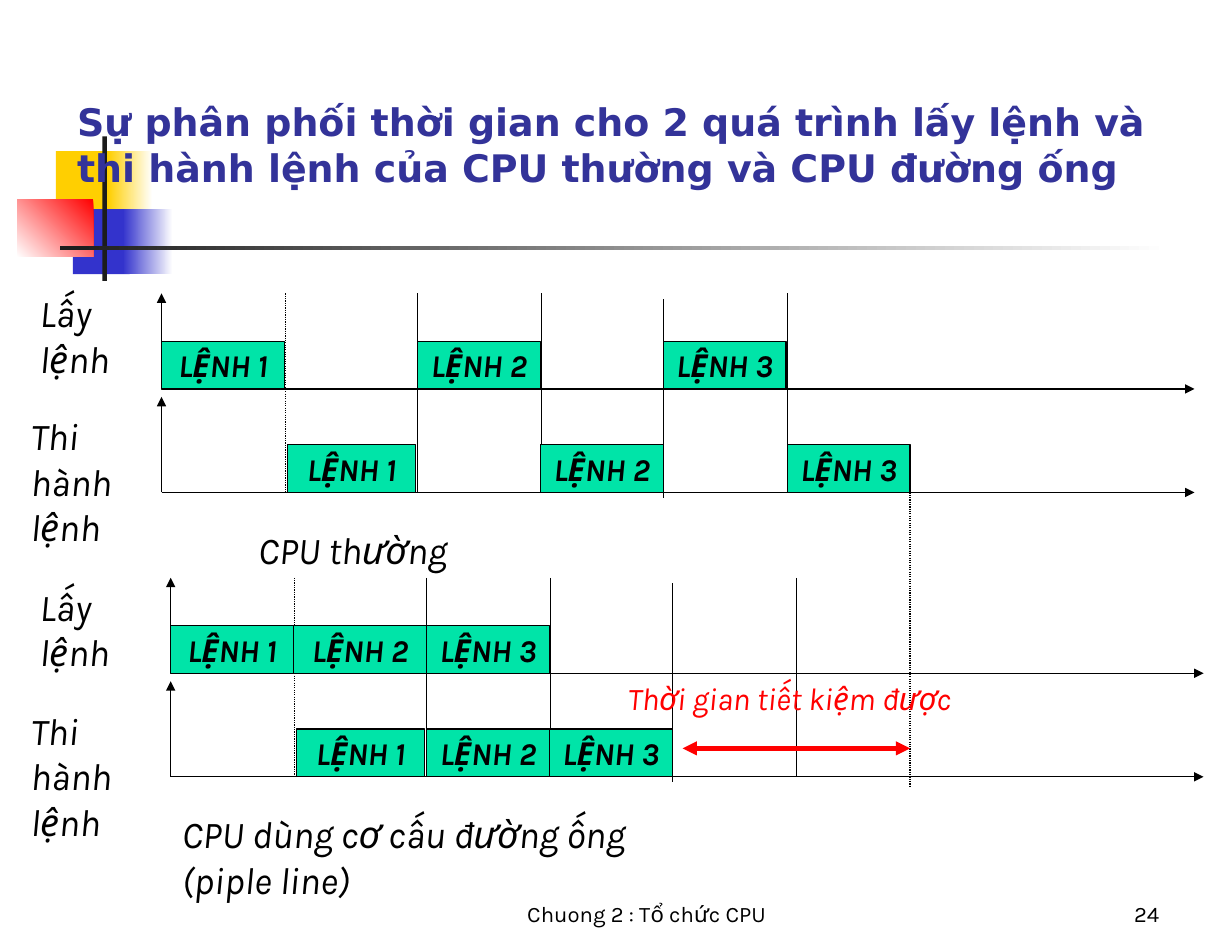
from lxml.etree import SubElement
from pptx import Presentation
from pptx.dml.color import RGBColor
from pptx.enum.dml import MSO_LINE
from pptx.enum.shapes import MSO_CONNECTOR, MSO_SHAPE
from pptx.enum.text import MSO_ANCHOR, PP_ALIGN
from pptx.oxml.ns import qn
from pptx.util import Inches, Pt

BLACK = RGBColor(0x00, 0x00, 0x00)
WHITE = RGBColor(0xFF, 0xFF, 0xFF)
CHARCOAL = RGBColor(0x1C, 0x1C, 0x1C)
YELLOW = RGBColor(0xFF, 0xCF, 0x01)
BLUE = RGBColor(0x33, 0x33, 0xCC)
TITLE_BLUE = RGBColor(0x33, 0x33, 0x99)
RED = RGBColor(0xFF, 0x00, 0x00)
GREEN = RGBColor(0x00, 0xE4, 0xA8)


def write(shape, text, size, color=BLACK, font="Karla", bold=False, italic=True,
          align=PP_ALIGN.LEFT, anchor=MSO_ANCHOR.TOP, wrap=True):
    frame = shape.text_frame
    frame.word_wrap = wrap
    frame.vertical_anchor = anchor
    paragraph = frame.paragraphs[0]
    paragraph.text = text
    paragraph.alignment = align
    paragraph.font.name = font
    paragraph.font.size = Pt(size)
    paragraph.font.bold = bold
    paragraph.font.italic = italic
    paragraph.font.color.rgb = color


def draw_line(x1, y1, x2, y2, color=BLACK, width=0.75, dotted=False, arrows=()):
    line = slide.shapes.add_connector(
        MSO_CONNECTOR.STRAIGHT, Inches(x1), Inches(y1), Inches(x2), Inches(y2))
    line.line.color.rgb = color
    line.line.width = Pt(width)
    if dotted:
        line.line.dash_style = MSO_LINE.ROUND_DOT
    outline = line.line._get_or_add_ln()
    for end in arrows:
        SubElement(outline, qn(f"a:{end}"), type="triangle")
    SubElement(line._element.spPr, qn("a:effectLst"))


presentation = Presentation()
presentation.slide_width = Inches(10.83)
presentation.slide_height = Inches(8.3)
slide = presentation.slides.add_slide(presentation.slide_layouts[6])

# Corner decoration: one colour is solid, two colours make a gradient
for left, top, width, height, colors, angle in [
    (0.49, 1.33, 0.52, 0.57, [YELLOW], 0),
    (0.95, 1.33, 0.39, 0.57, [WHITE, YELLOW], 180),
    (0.64, 1.84, 0.5, 0.57, [BLUE], 0),
    (1.08, 1.84, 0.44, 0.57, [WHITE, BLUE], 180),
    (0.15, 1.75, 0.67, 0.51, [RED, WHITE], 225),
    (0.9, 1.2, 0.04, 1.27, [CHARCOAL], 0),
    (0.53, 2.16, 9.74, 0.04, [WHITE, CHARCOAL], 180),
]:
    ornament = slide.shapes.add_shape(
        MSO_SHAPE.RECTANGLE, Inches(left), Inches(top), Inches(width), Inches(height))
    ornament.shadow.inherit = False
    ornament.line.fill.background()
    if len(colors) == 1:
        ornament.fill.solid()
        ornament.fill.fore_color.rgb = colors[0]
    else:
        ornament.fill.gradient()
        ornament.fill.gradient_angle = angle
        for stop, color in zip(ornament.fill.gradient_stops, colors):
            stop.color.rgb = color

# Title
title = slide.shapes.add_textbox(Inches(0.58), Inches(0.75), Inches(9.83), Inches(0.97))
write(title, "Sự phân phối thời gian cho 2 quá trình lấy lệnh và thi hành lệnh "
      "của CPU thường và CPU đường ống", 24, TITLE_BLUE, "DejaVu Sans",
      bold=True, italic=False, anchor=MSO_ANCHOR.BOTTOM)

# Timing diagrams: (start, width) of each instruction, measured from the origin
AXIS_LENGTH, AXIS_HEIGHT, BOX_HEIGHT = 9.08, 0.84, 0.42
FETCH_AXIS, EXECUTE_AXIS = 0.84, 1.75
GUIDES = [(1.09, 0), (2.25, 0), (3.34, 0), (4.41, 0.05), (5.5, 0)]
normal_cpu = {
    FETCH_AXIS: [(0, 1.08), (2.25, 1.08), (4.41, 1.08)],
    EXECUTE_AXIS: [(1.11, 1.12), (3.33, 1.08), (5.5, 1.08)],
}
pipelined_cpu = {
    FETCH_AXIS: [(0, 1.08), (1.08, 1.17), (2.25, 1.08)],
    EXECUTE_AXIS: [(1.11, 1.12), (2.25, 1.08), (3.33, 1.08)],
}
for origin_x, origin_y, stages in [(1.42, 2.58, normal_cpu), (1.5, 5.08, pipelined_cpu)]:
    for axis in stages:
        axis_y = origin_y + axis
        draw_line(origin_x, axis_y, origin_x + AXIS_LENGTH, axis_y, arrows=["tailEnd"])
        draw_line(origin_x, axis_y, origin_x, axis_y - AXIS_HEIGHT, arrows=["tailEnd"])
    for index, (offset, drop) in enumerate(GUIDES):
        guide_x, guide_y = origin_x + offset, origin_y + drop
        draw_line(guide_x, guide_y, guide_x, guide_y + EXECUTE_AXIS, dotted=index == 0)
    for axis, instructions in stages.items():
        for number, (start, width) in enumerate(instructions, 1):
            instruction = slide.shapes.add_shape(
                MSO_SHAPE.RECTANGLE, Inches(origin_x + start),
                Inches(origin_y + axis - BOX_HEIGHT), Inches(width), Inches(BOX_HEIGHT))
            instruction.shadow.inherit = False
            instruction.fill.solid()
            instruction.fill.fore_color.rgb = GREEN
            instruction.line.color.rgb = BLACK
            instruction.line.width = Pt(0.75)
            write(instruction, f"LỆNH {number}", 20, bold=True,
                  align=PP_ALIGN.CENTER, anchor=MSO_ANCHOR.MIDDLE, wrap=False)

# Time saved
draw_line(8, 3.92, 8, 6.92, dotted=True)
draw_line(6, 6.58, 8, 6.58, RED, 3, arrows=["headEnd", "tailEnd"])

# Stage names and captions
for left, top, width, height, text, size, color in [
    (0.25, 2.5, 0.92, 0.9, "Lấy lệnh", 24, BLACK),
    (0.17, 3.58, 1.08, 1.3, "Thi hành lệnh", 24, BLACK),
    (2.17, 4.58, 2.08, 0.5, "CPU thường", 24, BLACK),
    (0.25, 5.08, 0.92, 0.9, "Lấy lệnh", 24, BLACK),
    (0.17, 6.17, 1.08, 1.3, "Thi hành lệnh", 24, BLACK),
    (1.5, 7.08, 4.5, 0.9, "CPU dùng cơ cấu đường ống (piple line)", 24, BLACK),
    (5.42, 5.92, 3.33, 0.44, "Thời gian tiết kiệm được", 20, RED),
]:
    caption = slide.shapes.add_textbox(
        Inches(left), Inches(top), Inches(width), Inches(height))
    write(caption, text, size, color)

# Footer and slide number
for left, width, text, align in [
    (3.97, 3.43, "Chuong 2 : Tổ chức CPU", PP_ALIGN.CENTER),
    (8.03, 2.26, "24", PP_ALIGN.RIGHT),
]:
    footer = slide.shapes.add_textbox(
        Inches(left), Inches(7.65), Inches(width), Inches(0.55))
    write(footer, text, 14, italic=False, align=align, anchor=MSO_ANCHOR.BOTTOM)

presentation.save("out.pptx")
